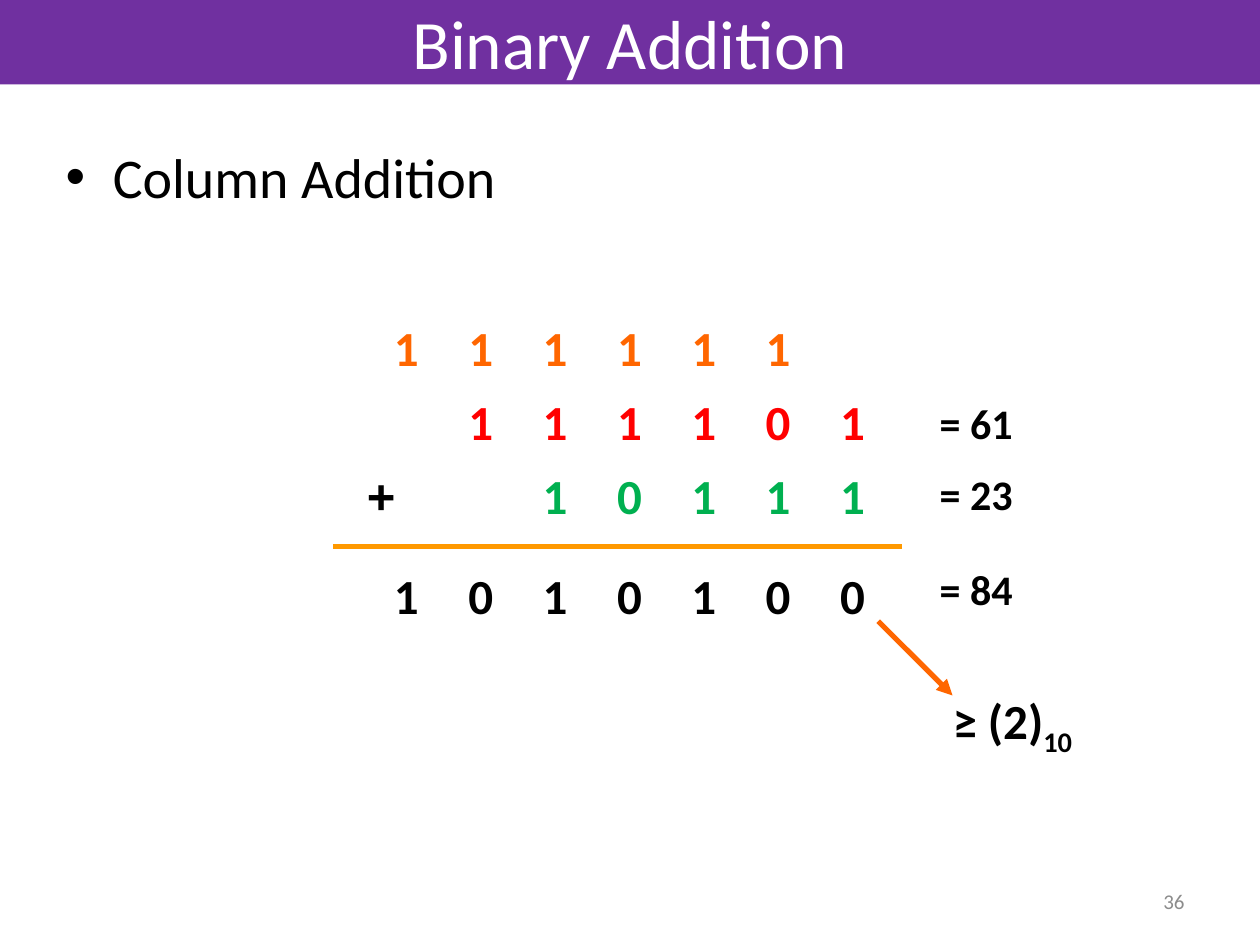
import pptx
import pptx.util
import pptx.dml.color
import pptx.enum.shapes
import pptx.enum.text
import pptx.oxml.ns
from dataclasses import dataclass
from lxml import etree

Inches = pptx.util.Inches
Pt = pptx.util.Pt
Align = pptx.enum.text.PP_ALIGN
Fit = pptx.enum.text.MSO_AUTO_SIZE
Mid = pptx.enum.text.MSO_ANCHOR.MIDDLE


@dataclass(frozen=True)
class Theme:
    font: str = "Calibri"
    sign: str = "Arial"
    band: str = "7030A0"
    white: str = "FFFFFF"
    ink: str = "000000"
    carry: str = "FF6600"
    first: str = "FF0000"
    second: str = "00B050"
    rule: str = "FF9900"
    gray: str = "8C8C8C"
    head: float = 39.6
    list: int = 32
    digit: int = 28
    value: int = 24
    note: int = 12


THEME = Theme()
LEFT = 3.03
STEP = 0.59
CELL = (0.39, 0.42)


def rgb(code):
    return pptx.dml.color.RGBColor.from_string(code)


def style(para, size, color, bold=False, face=THEME.font, align=None):
    font = para.font
    font.name = face
    font.size = Pt(size)
    font.bold = bold
    font.color.rgb = rgb(color)
    para.alignment = align


def place(shape, left, top, width, height):
    shape.left, shape.top = Inches(left), Inches(top)
    shape.width, shape.height = Inches(width), Inches(height)


def fill_holder(shape, text, box, size, color, align):
    place(shape, *box)
    frame = shape.text_frame
    frame.text = text
    frame.auto_size = Fit.NONE
    style(frame.paragraphs[0], size, color, align=align)


def add_text(slide, box, inset=True):
    frame = slide.shapes.add_textbox(*map(Inches, box)).text_frame
    frame.word_wrap = True
    if not inset:
        frame.margin_left = frame.margin_right = 0
        frame.margin_top = frame.margin_bottom = 0
    return frame


def add_cell(slide, text, left, top, color, face=THEME.font):
    frame = add_text(slide, (left, top, *CELL), inset=False)
    para = frame.paragraphs[0]
    para.text = text
    para.line_spacing = 0.9
    style(para, THEME.digit, color, True, face, Align.CENTER)


def add_row(slide, bits, start, top, color):
    for col, bit in enumerate(bits, start):
        add_cell(slide, bit, LEFT + col * STEP, top, color)


def add_sums(slide, top, height, texts):
    frame = add_text(slide, (7.36, top, 0.94, height))
    for pos, text in enumerate(texts):
        para = frame.add_paragraph() if pos else frame.paragraphs[0]
        para.text = text
        para.line_spacing = 0.8 if pos else 0.87
        para.space_before = Pt(17 * pos)
        style(para, THEME.value, THEME.ink, True)


def add_line(slide, start, end, color, arrow=False):
    kind = pptx.enum.shapes.MSO_CONNECTOR.STRAIGHT
    line = slide.shapes.add_connector(kind, *map(Inches, (*start, *end)))
    line.line.color.rgb = rgb(color)
    line.line.width = Pt(3)
    qn = pptx.oxml.ns.qn
    if arrow:
        etree.SubElement(line.line._get_or_add_ln(), qn("a:tailEnd"), type="triangle")
    etree.SubElement(line._element.spPr, qn("a:effectLst"))


def add_base(slide):
    para = add_text(slide, (7.56, 5.49, 1.38, 0.42), inset=False).paragraphs[0]
    para.line_spacing = 0.9
    style(para, THEME.digit, THEME.ink, True)
    para.add_run().text = "≥ (2)"
    sub = para.add_run()
    sub.text = "10"
    sub._r.get_or_add_rPr().set("baseline", "-25000")


def add_page(slide, text):
    frame = add_text(slide, (7.17, 6.95, 2.33, 0.4))
    frame.vertical_anchor = Mid
    para = frame.paragraphs[0]
    para.text = text
    style(para, THEME.note, THEME.gray, align=Align.RIGHT)


def main():
    deck = pptx.Presentation()
    deck.slide_width, deck.slide_height = Inches(10), Inches(7.5)
    slide = deck.slides.add_slide(deck.slide_layouts[1])
    title, body = slide.placeholders

    fill_holder(title, "Binary Addition", (0, 0, 10, 0.67),
                THEME.head, THEME.white, Align.CENTER)
    title.fill.solid()
    title.fill.fore_color.rgb = rgb(THEME.band)
    title.text_frame.vertical_anchor = Mid
    fill_holder(body, "Column Addition", (0.42, 1.08, 9.37, 0.58),
                THEME.list, THEME.ink, Align.LEFT)

    rows = [
        ("111111", 0, 2.57, THEME.carry),
        ("111101", 1, 3.16, THEME.first),
        ("10111", 2, 3.75, THEME.second),
        ("1010100", 0, 4.54, THEME.ink),
    ]
    for row in rows:
        add_row(slide, *row)
    add_cell(slide, "+", 2.83, 3.75, THEME.ink, THEME.sign)
    add_line(slide, (7.16, 4.34), (2.64, 4.34), THEME.rule)

    add_sums(slide, 3.16, 1.03, ["= 61", "= 23"])
    add_sums(slide, 4.48, 0.45, ["= 84"])
    add_line(slide, (6.97, 4.93), (7.56, 5.52), THEME.carry, arrow=True)
    add_base(slide)
    add_page(slide, "36")
    deck.save("out.pptx")


if __name__ == "__main__":
    main()
